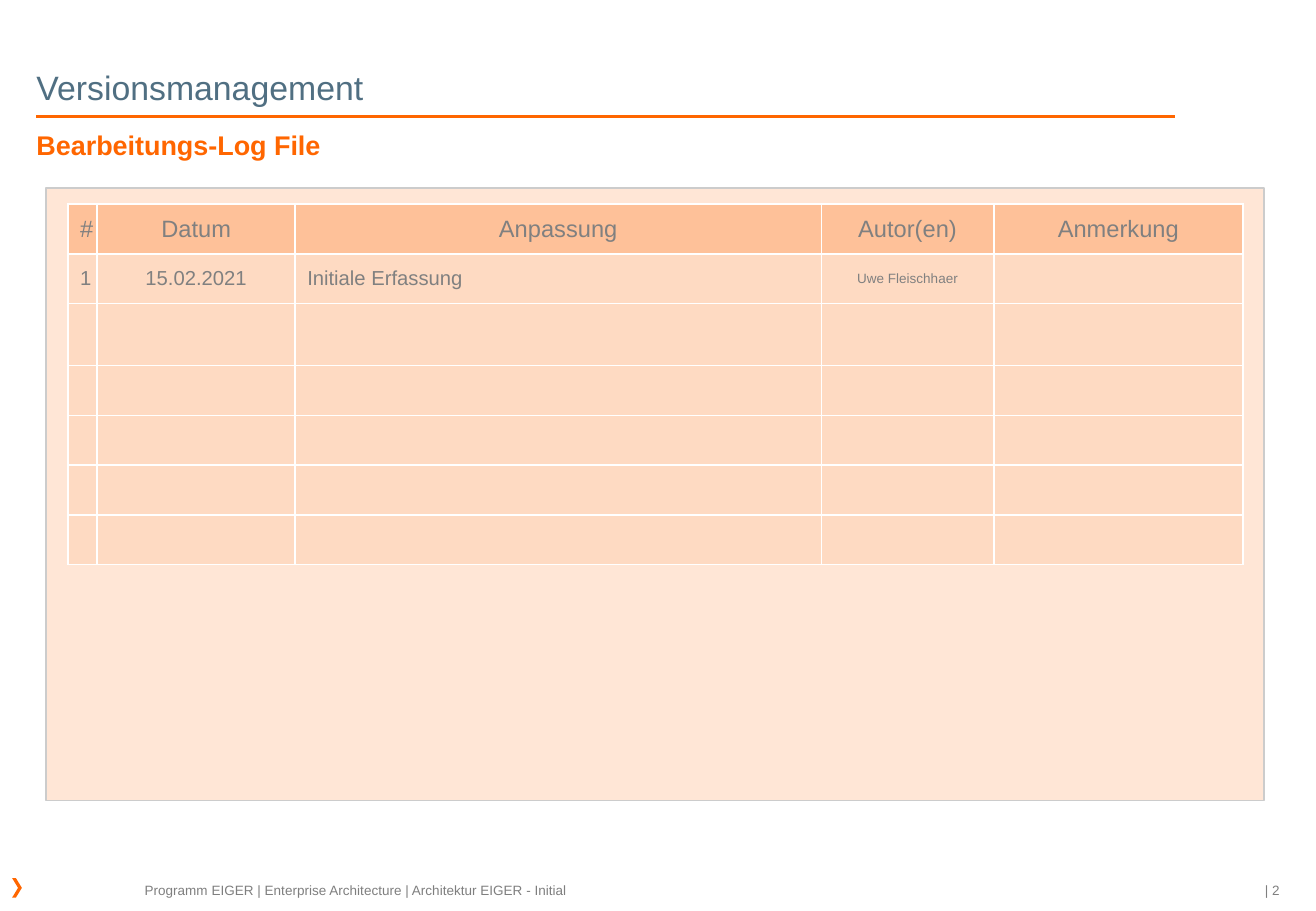
from typing import NamedTuple

from lxml import etree
from pptx import Presentation
from pptx.dml.color import RGBColor
from pptx.enum.shapes import MSO_CONNECTOR, MSO_SHAPE
from pptx.enum.text import MSO_ANCHOR, PP_ALIGN
from pptx.oxml.ns import qn
from pptx.util import Inches, Pt

LEFT, CENTER, RIGHT = PP_ALIGN.LEFT, PP_ALIGN.CENTER, PP_ALIGN.RIGHT
MIDDLE, TOP, BOTTOM = MSO_ANCHOR.MIDDLE, MSO_ANCHOR.TOP, MSO_ANCHOR.BOTTOM
CHEVRON, RECTANGLE = MSO_SHAPE.CHEVRON, MSO_SHAPE.RECTANGLE
STRAIGHT = MSO_CONNECTOR.STRAIGHT

ORANGE, SLATE, GRAY, FOOTER_GRAY = "FF6600", "506F82", "808080", "7F7F7F"
PANEL_FILL, PANEL_LINE, WHITE = "FFE6D6", "CCCCCC", "FFFFFF"
HEADER_FILL, ROW_FILL = "FEC199", "FEDAC2"


class Box(NamedTuple):
    left: float
    top: float
    width: float
    height: float


class Style(NamedTuple):
    size: float
    color: str
    align: PP_ALIGN = LEFT
    bold: bool = False


class Column(NamedTuple):
    heading: str
    width: float
    entry: str
    style: Style


ENTRY = Style(12, GRAY, CENTER)
HEADING = Style(14, GRAY, CENTER)
COLUMNS = [
    Column("#", 0.23, "1", ENTRY),
    Column("Datum", 1.63, "15.02.2021", ENTRY),
    Column("Anpassung", 4.33, "Initiale Erfassung", Style(12, GRAY)),
    Column("Autor(en)", 1.42, "Uwe Fleischhaer", Style(8, GRAY, CENTER)),
    Column("Anmerkung", 2.05, "", ENTRY),
]
ROW_HEIGHTS = [0.41, 0.41, 0.51] + [0.41] * 4


def rgb(color: str) -> RGBColor:
    return RGBColor.from_string(color)


def inches(box: Box) -> list[int]:
    return [Inches(length) for length in box]


def write(paragraph, text: str, style: Style) -> None:
    paragraph.text = text
    paragraph.alignment = style.align
    paragraph.space_before = Pt(0)
    font = paragraph.font
    font.name, font.size, font.bold = "Arial", Pt(style.size), style.bold
    font.color.rgb = rgb(style.color)


def fill_text(shape, box: Box, text: str, style: Style, anchor, inset: float) -> None:
    shape.left, shape.top, shape.width, shape.height = inches(box)
    frame = shape.text_frame
    frame.word_wrap = True
    frame.vertical_anchor = anchor
    frame.margin_left = frame.margin_right = 0
    frame.margin_top = frame.margin_bottom = Inches(inset)
    write(frame.paragraphs[0], text, style)


def add_filled_shape(slide, kind, box: Box, fill: str):
    shape = slide.shapes.add_shape(kind, *inches(box))
    shape.shadow.inherit = False
    shape.fill.solid()
    shape.fill.fore_color.rgb = rgb(fill)
    shape.line.fill.background()
    return shape


def set_borders(cell, color: str, points: float) -> None:
    properties = cell._tc.get_or_add_tcPr()
    for position, side in enumerate(("a:lnL", "a:lnR", "a:lnT", "a:lnB")):
        line = etree.Element(qn(side), w=str(Pt(points)))
        solid = etree.SubElement(line, qn("a:solidFill"))
        etree.SubElement(solid, qn("a:srgbClr"), val=color)
        properties.insert(position, line)


def add_log_table(slide, left: float, top: float) -> None:
    box = Box(left, top, sum(column.width for column in COLUMNS), sum(ROW_HEIGHTS))
    table = slide.shapes.add_table(len(ROW_HEIGHTS), len(COLUMNS), *inches(box)).table
    for row, height in zip(table.rows, ROW_HEIGHTS):
        row.height = Inches(height)
    for index, column in enumerate(COLUMNS):
        table.columns[index].width = Inches(column.width)
        texts = {0: (column.heading, HEADING), 1: (column.entry, column.style)}
        for row_index in range(len(ROW_HEIGHTS)):
            cell = table.cell(row_index, index)
            cell.vertical_anchor = MIDDLE
            cell.fill.solid()
            cell.fill.fore_color.rgb = rgb(ROW_FILL if row_index else HEADER_FILL)
            set_borders(cell, WHITE, 1)
            text, style = texts.get(row_index, ("", ENTRY))
            if text:
                write(cell.text_frame.paragraphs[0], text, style)


def main() -> None:
    presentation = Presentation()
    presentation.slide_width, presentation.slide_height = Inches(10.83), Inches(7.5)
    slide = presentation.slides.add_slide(presentation.slide_layouts[1])

    # Title, rule and subtitle
    fill_text(slide.shapes.title, Box(0.3, 0.21, 9.93, 0.71), "Versionsmanagement",
              Style(20, SLATE), BOTTOM, 0.04)
    rule = slide.shapes.add_connector(
        STRAIGHT, Inches(0.3), Inches(0.96), Inches(9.67), Inches(0.96))
    rule.line.color.rgb = rgb(ORANGE)
    rule.line.width = Pt(1.5)
    etree.SubElement(rule._element.spPr, qn("a:effectLst"))

    subtitle = slide.placeholders[1]
    paragraph_properties = subtitle.text_frame.paragraphs[0]._p.get_or_add_pPr()
    paragraph_properties.set("marL", "0")
    paragraph_properties.set("indent", "0")
    etree.SubElement(paragraph_properties, qn("a:buNone"))
    fill_text(subtitle, Box(0.3, 1.02, 9.37, 0.35), "Bearbeitungs-Log File",
              Style(16, ORANGE, bold=True), MIDDLE, 0.04)

    # Panel with the log table
    panel = add_filled_shape(slide, RECTANGLE, Box(0.38, 1.55, 10.02, 5.04), PANEL_FILL)
    panel.line.color.rgb = rgb(PANEL_LINE)
    panel.line.width = Pt(1)
    add_log_table(slide, 0.56, 1.68)

    # Footer
    chevron = add_filled_shape(slide, CHEVRON, Box(0.1, 7.23, 0.08, 0.16), ORANGE)
    chevron.adjustments[0] = 0.61
    footers = [
        (Box(1.19, 7.26, 6.5, 0.13),
         "Programm EIGER | Enterprise Architecture | Architektur EIGER - Initial", LEFT),
        (Box(10.22, 7.26, 0.31, 0.13), "| 2", RIGHT),
    ]
    for box, text, align in footers:
        textbox = slide.shapes.add_textbox(*inches(box))
        fill_text(textbox, box, text, Style(8, FOOTER_GRAY, align), TOP, 0)

    presentation.save("out.pptx")


if __name__ == "__main__":
    main()
